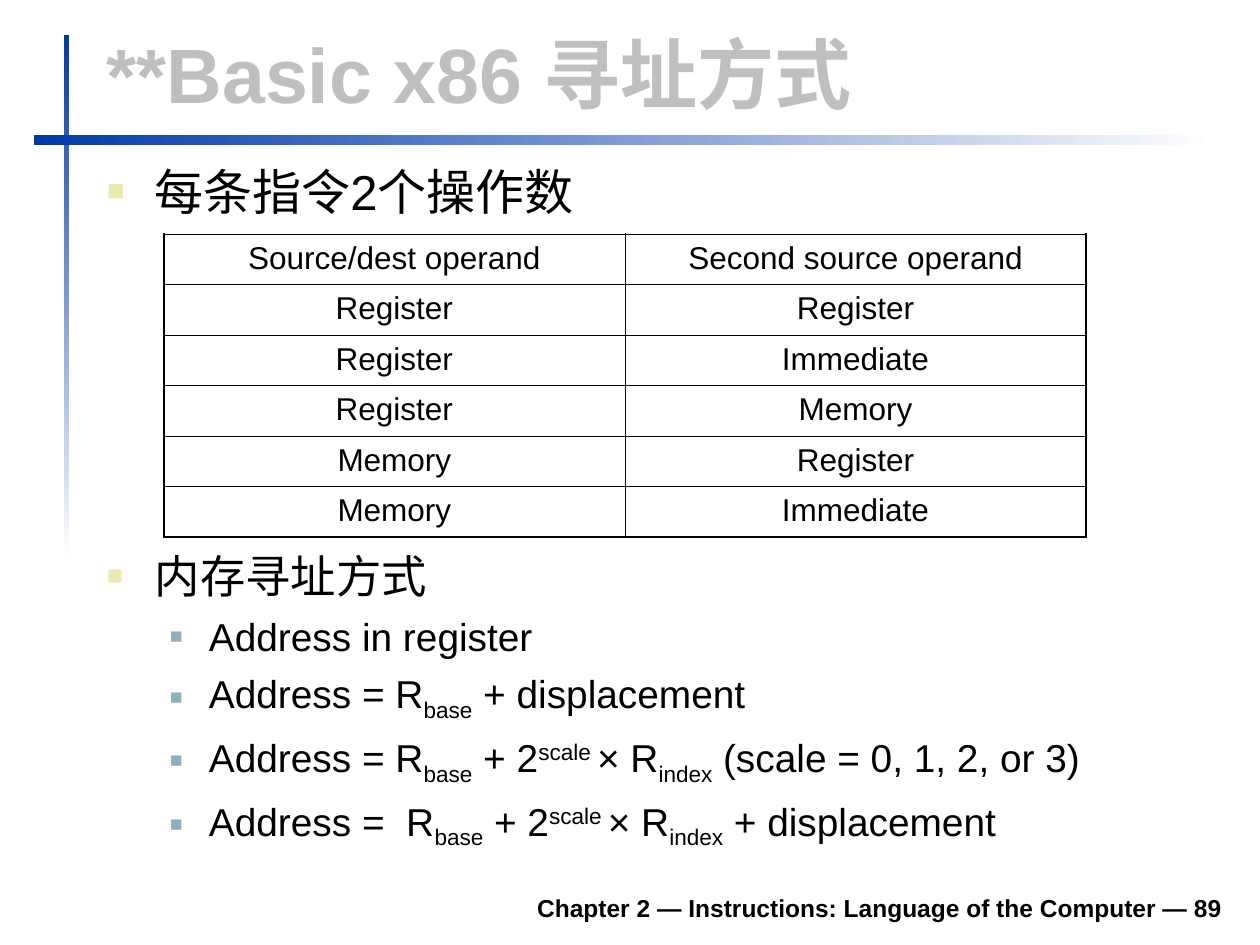
"""Build the slide on basic x86 addressing modes."""
from lxml import etree
from pptx import Presentation
from pptx import util as u
from pptx.dml.color import RGBColor
from pptx.enum import shapes, text
from pptx.oxml.ns import qn

TITLE = "**Basic x86 寻址方式"
FOOT = "Chapter 2 — Instructions: Language of the Computer — 89"
OPS = "每条指令2个操作数"
ROWS = [
    ("Source/dest operand", "Second source operand"),
    ("Register", "Register"),
    ("Register", "Immediate"),
    ("Register", "Memory"),
    ("Memory", "Register"),
    ("Memory", "Immediate"),
]
BASE, SCALE, INDEX = ("base", -25), ("scale ", 30), ("index", -25)
MODES = [
    ["Address in register"],
    ["Address = R", BASE, " + displacement"],
    ["Address = R", BASE, " + 2", SCALE, "× R", INDEX, " (scale = 0, 1, 2, or 3)"],
    ["Address =  R", BASE, " + 2", SCALE, "× R", INDEX, " + displacement"],
]
HUE = {"blue": "0039A6", "white": "FFFFFF", "black": "000000",
       "gray": "BFBFBF", "sand": "ECEAAC", "steel": "91AFBF"}
LEVELS = [
    {"left": 0.38, "hang": 0.38, "hue": "sand", "share": 60, "gap": 7},
    {"left": 0.81, "hang": 0.31, "hue": "steel", "share": 55, "gap": 6},
]
BARS = [((0.51, 0.28, 0.04, 4.17), 270), ((0.27, 1.07, 9.37, 0.08), 0)]
LEFT, WIDE = 0.75, 9.04
GRID = (1.3, 1.86, 7.32, 2.4)
THIN, THICK = 0.45, 1.08


def rgb(name):
    return RGBColor.from_string(HUE[name])


def place(box):
    return [u.Inches(n) for n in box]


def style(para, size, hue="black", bold=False):
    for run in para.runs:
        font = run.font
        font.name, font.size, font.bold = "Arial", u.Pt(size), bold
        font.color.rgb = rgb(hue)


def add_box(slide, box, anchor=text.MSO_ANCHOR.TOP):
    frame = slide.shapes.add_textbox(*place(box)).text_frame
    frame.word_wrap = True
    frame.vertical_anchor = anchor
    return frame


def add_line(slide, box, words, size, hue, align):
    para = add_box(slide, box, text.MSO_ANCHOR.BOTTOM).paragraphs[0]
    para.text, para.alignment = words, align
    style(para, size, hue, True)


def add_bar(slide, box, angle):
    bar = slide.shapes.add_shape(shapes.MSO_SHAPE.RECTANGLE, *place(box))
    bar.shadow.inherit = False
    bar.line.fill.background()
    bar.fill.gradient()
    bar.fill.gradient_angle = angle
    for stop, hue in zip(bar.fill.gradient_stops, ("blue", "white")):
        stop.color.rgb = rgb(hue)


def add_list(slide, box, items):
    frame = add_box(slide, box)
    for i, (depth, size, parts) in enumerate(items):
        para = frame.add_paragraph() if i else frame.paragraphs[0]
        rule = LEVELS[depth]
        para.level = depth
        if i:
            para.space_before = u.Pt(rule["gap"])
        props = para._p.get_or_add_pPr()
        props.set("marL", str(u.Inches(rule["left"])))
        props.set("indent", str(-u.Inches(rule["hang"])))
        tint = etree.SubElement(props, qn("a:buClr"))
        etree.SubElement(tint, qn("a:srgbClr"), val=HUE[rule["hue"]])
        etree.SubElement(props, qn("a:buSzPct"), val=str(rule["share"] * 1000))
        etree.SubElement(props, qn("a:buFont"), typeface="Arial")
        etree.SubElement(props, qn("a:buChar"), char="■")
        for part in parts:
            words, shift = (part, 0) if isinstance(part, str) else part
            run = para.add_run()
            run.text = words
            if shift:
                run._r.get_or_add_rPr().set("baseline", str(shift * 1000))
        style(para, size)


def add_edge(cell, side, width):
    edge = etree.SubElement(cell._tc.get_or_add_tcPr(), qn("a:ln" + side),
                            w=str(u.Pt(width)))
    fill = etree.SubElement(edge, qn("a:solidFill"))
    etree.SubElement(fill, qn("a:srgbClr"), val=HUE["black"])


def add_grid(slide):
    tall, wide = len(ROWS), len(ROWS[0])
    grid = slide.shapes.add_table(tall, wide, *place(GRID)).table
    grid.first_row = grid.horz_banding = False
    for r, row in enumerate(ROWS):
        for c, words in enumerate(row):
            cell = grid.cell(r, c)
            outer = {"L": c == 0, "R": c == wide - 1, "T": r == 0, "B": r == tall - 1}
            for side, rim in outer.items():
                add_edge(cell, side, THICK if rim else THIN)
            cell.fill.background()
            para = cell.text_frame.paragraphs[0]
            para.text, para.alignment = words, text.PP_ALIGN.CENTER
            style(para, 18)


def main():
    deck = Presentation()
    deck.slide_width, deck.slide_height = u.Inches(10), u.Inches(7.5)
    slide = deck.slides.add_slide(deck.slide_layouts[6])
    for box, angle in BARS:
        add_bar(slide, box, angle)
    add_line(slide, (1.85, 6.98, 7.95, 0.39), FOOT, 14, "black", text.PP_ALIGN.RIGHT)
    add_line(slide, (LEFT, 0.16, WIDE, 0.83), TITLE, 44, "gray", text.PP_ALIGN.LEFT)
    add_list(slide, (LEFT, 1.23, WIDE, 0.71), [(0, 28, [OPS])])
    add_grid(slide)
    modes = [(0, 25.9, ["内存寻址方式"])] + [(1, 22.2, parts) for parts in MODES]
    add_list(slide, (LEFT, 4.3, WIDE, 2.52), modes)
    deck.save("out.pptx")


if __name__ == "__main__":
    main()
